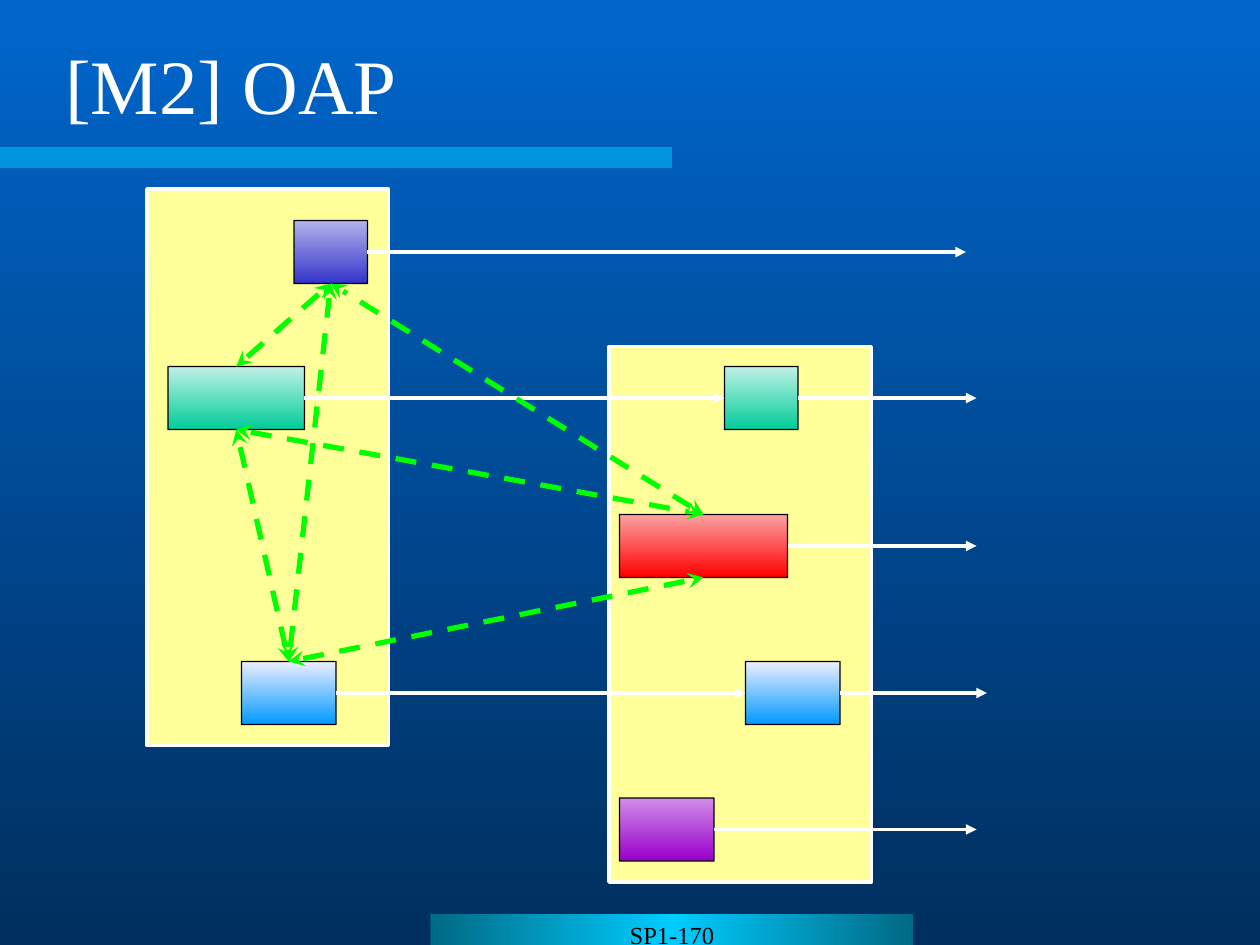
"""Build the [M2] OAP slide: two panels of boxes joined by arrows."""
from copy import deepcopy

from lxml import etree
from pptx import Presentation
from pptx.dml.color import RGBColor
from pptx.enum.dml import MSO_LINE
from pptx.enum.shapes import MSO_CONNECTOR, MSO_SHAPE
from pptx.enum.text import MSO_ANCHOR, MSO_AUTO_SIZE, PP_ALIGN
from pptx.oxml.ns import qn
from pptx.util import Pt

STRAIGHT = MSO_CONNECTOR.STRAIGHT
RECTANGLE, ROUNDED = MSO_SHAPE.RECTANGLE, MSO_SHAPE.ROUNDED_RECTANGLE
DASH = MSO_LINE.DASH
TOP, MIDDLE = MSO_ANCHOR.TOP, MSO_ANCHOR.MIDDLE
LEFT, CENTER = PP_ALIGN.LEFT, PP_ALIGN.CENTER
NO_AUTOSIZE = MSO_AUTO_SIZE.NONE
TOP_SITE, BOTTOM_SITE, RIGHT_SITE, LEFT_SITE = 0, 2, 3, 1

FONT = "Times New Roman"
COLORS = {
    "white": "FFFFFF", "black": "000000", "panel": "FFFF99", "link": "00FF00",
    "bar": "00CCFF", "footer_edge": "006984",
    "sky": "0066CC", "deep": "002F5E",
    "green_light": "C0F1E5", "green": "00CC99",
    "blue_light": "B3B3EB", "blue": "3333CC",
    "red_light": "FEA1A1", "red": "FF0000",
    "azure_light": "EEEEFF", "azure": "0099FF",
    "violet_light": "D08DE7", "violet": "9900CC",
}
TITLE = "[M2] OAP"
FOOTER = "SP1-170"
PANELS = [(348, 198, 150, 306), (84, 108, 138, 318)]
BOX_HEIGHT = 36
BOXES = {
    "left green": (96, 209.5, 78, "green"),
    "left blue": (168, 126, 42, "blue"),
    "right red": (354, 294, 96, "red"),
    "right green": (414, 209.5, 42, "green"),
    "left azure": (138, 378, 54, "azure"),
    "right azure": (426, 378, 54, "azure"),
    "right violet": (354, 456, 54, "violet"),
}
FLOWS = [
    ("left blue", 552),
    ("left green", "right green"),
    ("right green", 558),
    ("right red", 558),
    ("left azure", "right azure"),
    ("right azure", 564),
    ("right violet", 558),
]
LINKS = [
    ("left green", TOP_SITE, "left blue", BOTTOM_SITE),
    ("left azure", TOP_SITE, "left blue", BOTTOM_SITE),
    ("left azure", TOP_SITE, "left green", BOTTOM_SITE),
    ("left azure", TOP_SITE, "right red", BOTTOM_SITE),
    ("left green", BOTTOM_SITE, "right red", TOP_SITE),
    ("right red", TOP_SITE, "left blue", BOTTOM_SITE),
]


def color(name):
    return RGBColor.from_string(COLORS[name])


def set_gradient(fill, element, names, angle):
    fill.gradient()
    fill.gradient_angle = angle
    stop_list = element.xpath(".//a:gsLst")[0]
    for _ in names[2:]:
        stop_list.append(deepcopy(stop_list[0]))
    for index, (stop, name) in enumerate(zip(fill.gradient_stops, names)):
        stop.color.rgb = color(name)
        stop.position = index / (len(names) - 1)


def add_box(slide, kind, frame, fill=None, line=None, width=0):
    box = slide.shapes.add_shape(kind, *map(Pt, frame))
    box.shadow.inherit = False
    if fill:
        box.fill.solid()
        box.fill.fore_color.rgb = color(fill)
    if line:
        box.line.color.rgb = color(line)
        box.line.width = Pt(width)
    else:
        box.line.fill.background()
    return box


def add_arrow(slide, start, end, name, width, ends, dash=None):
    arrow = slide.shapes.add_connector(STRAIGHT, 0, 0, 0, 0)
    arrow.begin_connect(*start)
    if isinstance(end[0], int):
        arrow.end_x, arrow.end_y = Pt(end[0]), arrow.begin_y
    else:
        arrow.end_connect(*end)
    arrow.line.color.rgb = color(name)
    arrow.line.width = Pt(width)
    if dash:
        arrow.line.dash_style = dash
    properties = arrow._element.spPr
    line = properties.find(qn("a:ln"))
    for tag, style in ends.items():
        etree.SubElement(line, qn(f"a:{tag}"), type=style)
    etree.SubElement(properties, qn("a:effectLst"))


def write(box, text, size, name, alignment, anchor):
    frame = box.text_frame
    frame.text = text
    frame.word_wrap = True
    frame.auto_size = NO_AUTOSIZE
    frame.vertical_anchor = anchor
    para = frame.paragraphs[0]
    para.alignment = alignment
    para.font.name = FONT
    para.font.size = Pt(size)
    para.font.color.rgb = color(name)


def main():
    deck = Presentation()
    deck.slide_width, deck.slide_height = Pt(720), Pt(540)
    slide = deck.slides.add_slide(deck.slide_layouts[5])
    set_gradient(slide.background.fill, slide.element, ["sky", "deep"], 270)

    title = slide.shapes.title
    title.left, title.top, title.width, title.height = map(Pt, (30, 18, 666, 60))
    write(title, TITLE, 44, "white", LEFT, MIDDLE)

    bar = add_box(slide, RECTANGLE, (0, 84, 384, 12), "bar")
    bar_color = bar._element.xpath(".//a:solidFill/a:srgbClr")[0]
    etree.SubElement(bar_color, qn("a:alpha"), val="50000")

    footer = add_box(slide, RECTANGLE, (246, 522, 276, 18))
    set_gradient(footer.fill, footer._element, ["footer_edge", "bar", "footer_edge"], 0)
    write(footer, FOOTER, 14, "black", CENTER, TOP)

    for frame in PANELS:
        add_box(slide, RECTANGLE, frame, "panel", "white", 2)

    boxes = {}
    for key, (left, top, width, hue) in BOXES.items():
        box = add_box(slide, ROUNDED, (left, top, width, BOX_HEIGHT), line="black", width=0.71)
        box.adjustments[0] = 0.003
        set_gradient(box.fill, box._element, [f"{hue}_light", hue], 270)
        boxes[key] = box

    for source, target in FLOWS:
        end = (boxes[target], LEFT_SITE) if target in boxes else (target,)
        add_arrow(slide, (boxes[source], RIGHT_SITE), end, "white", 2, {"tailEnd": "triangle"})

    stealth_ends = {"headEnd": "stealth", "tailEnd": "stealth"}
    for source, source_site, target, target_site in LINKS:
        add_arrow(slide, (boxes[source], source_site), (boxes[target], target_site),
                  "link", 3, stealth_ends, DASH)

    deck.save("out.pptx")


if __name__ == "__main__":
    main()
